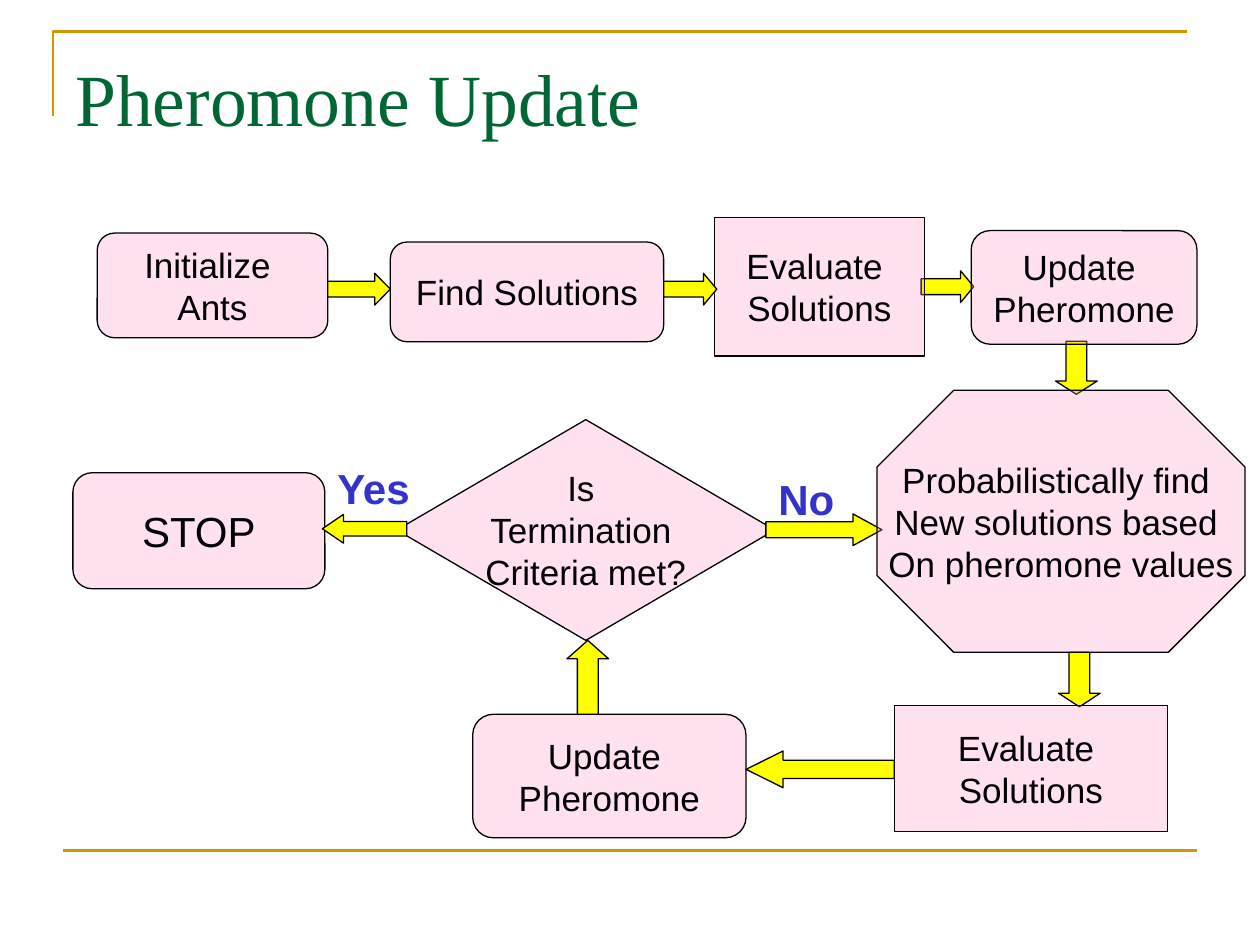
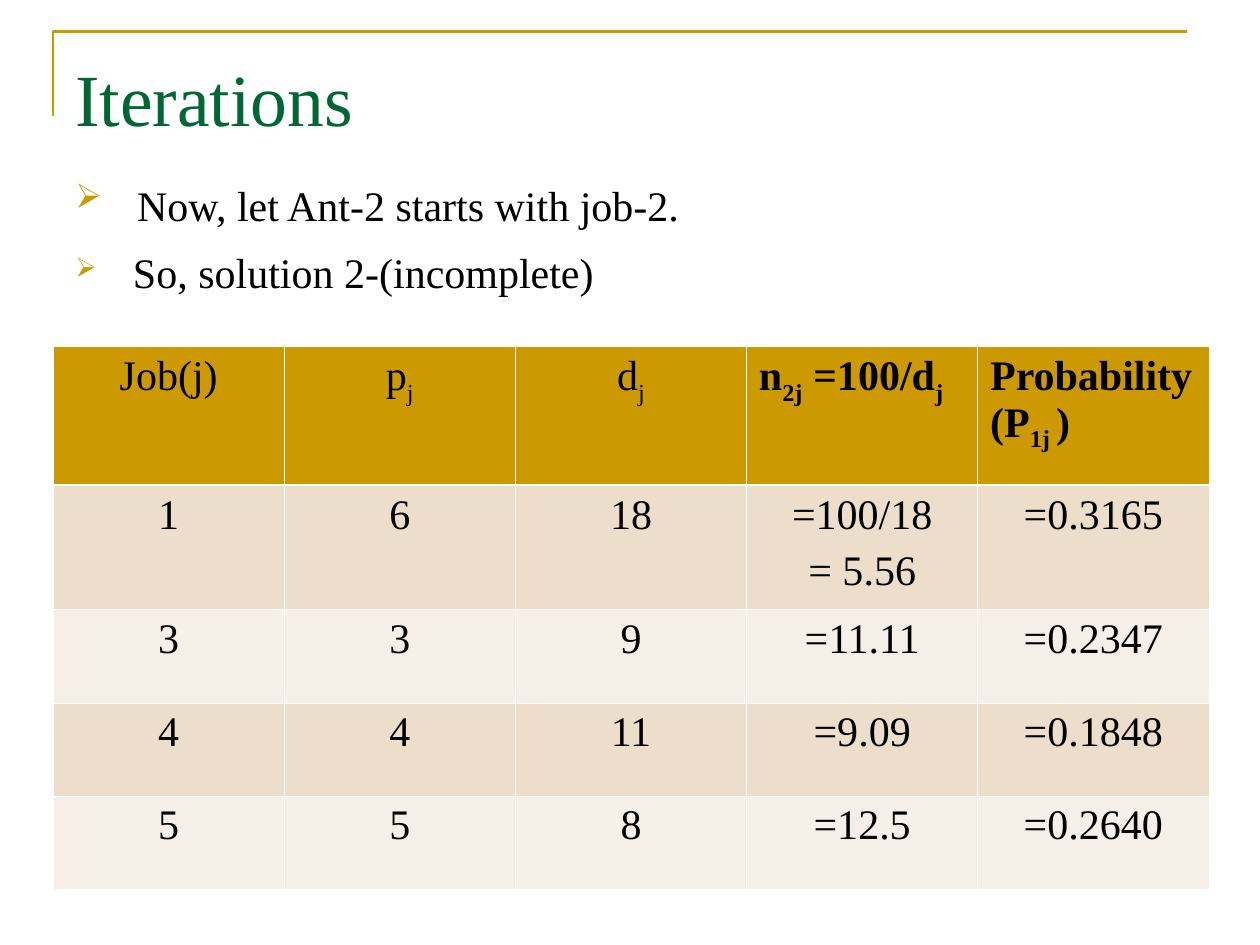
from dataclasses import dataclass

from lxml import etree
from pptx import Presentation
from pptx.dml.color import RGBColor
from pptx.enum.shapes import MSO_CONNECTOR, MSO_SHAPE
from pptx.enum.text import MSO_ANCHOR, PP_ALIGN
from pptx.oxml.ns import qn
from pptx.util import Cm, Pt

DIAMOND, OCTAGON = MSO_SHAPE.DIAMOND, MSO_SHAPE.OCTAGON
ROUNDED, RECTANGLE = MSO_SHAPE.ROUNDED_RECTANGLE, MSO_SHAPE.RECTANGLE
ARROW_SHAPES = {
    "right": MSO_SHAPE.RIGHT_ARROW, "left": MSO_SHAPE.LEFT_ARROW,
    "down": MSO_SHAPE.DOWN_ARROW, "up": MSO_SHAPE.UP_ARROW,
}
CENTER, LEFT = PP_ALIGN.CENTER, PP_ALIGN.LEFT
TOP, MIDDLE = MSO_ANCHOR.TOP, MSO_ANCHOR.MIDDLE


@dataclass(frozen=True)
class Theme:
    serif: str = "Times New Roman"
    sans: str = "Arial"
    title: str = "006633"
    gold: str = "CC9900"
    ink: str = "000000"
    node: str = "FF99CC"
    node_opacity: int = 29000
    arrow: str = "FFFF00"
    answer: str = "3333CC"
    bands: tuple = ("ECDECB", "F6EFE7")
    grid: str = "FFFFFF"
    title_size: float = 42
    body_size: float = 24
    node_size: float = 20
    spacer_size: float = 30


THEME = Theme()

FLOW_TITLE = "Pheromone Update"
# name: (shape, (left, top, width, height) in cm, lines, type size)
NODES = {
    "decide": (DIAMOND, (8, 8.46, 7.62, 4.45),
               ["Is ", "Termination ", "Criteria met?"], THEME.node_size),
    "initialize": (ROUNDED, (1.96, 4.7, 4.65, 2.11), ["Initialize ", "Ants"], THEME.node_size),
    "find": (ROUNDED, (7.87, 4.88, 5.51, 2.01), ["Find Solutions"], THEME.node_size),
    "update": (ROUNDED, (19.58, 4.65, 4.55, 2.29), ["Update ", "Pheromone"], THEME.node_size),
    "search": (OCTAGON, (17.68, 7.87, 7.42, 5.28),
               ["Probabilistically find ", "New solutions based ", "On pheromone values"],
               THEME.node_size),
    "evaluate": (RECTANGLE, (14.4, 4.39, 4.24, 2.79), ["Evaluate ", "Solutions"],
                 THEME.node_size),
    "evaluate again": (RECTANGLE, (18.03, 14.22, 5.51, 2.54), ["Evaluate ", "Solutions"],
                       THEME.node_size),
    "stop": (ROUNDED, (1.47, 9.53, 5.08, 2.34), ["STOP"], THEME.body_size),
    "update again": (ROUNDED, (9.53, 14.4, 5.51, 2.49), ["Update ", "Pheromone"],
                     THEME.node_size),
}
# (source, direction, target, centre line, thickness, overlap at tail, overlap at tip)
ARROWS_BEHIND = [
    ("search", "down", "evaluate again", 21.76, 0.84, 0, 0.03),
    ("update", "down", "search", 21.7, 0.84, 0.06, 0.08),
    ("evaluate", "right", "update", 5.78, 0.64, 0.07, 0.05),
    ("decide", "right", "search", 10.68, 0.64, 0.18, 0.1),
]
ARROWS_IN_FRONT = [
    ("initialize", "right", "find", 5.83, 0.64, 0, 0),
    ("find", "right", "evaluate", 5.83, 0.64, 0, 0.05),
    ("evaluate again", "left", "update again", 15.51, 0.74, 0, 0),
    ("decide", "left", "stop", 10.66, 0.58, 0.2, 0.05),
    ("update again", "up", "decide", 11.85, 0.84, 0, 0),
]
ANSWERS = [("Yes", (6.55, 9.09, 2.54, 1.27)), ("No", (15.44, 9.32, 1.91, 1.27))]

TABLE_TITLE = "Iterations"
BULLETS = [
    [(" ", THEME.sans, THEME.spacer_size),
     ("Now, let Ant-2 starts with job-2.", THEME.serif, THEME.body_size)],
    [(" So, solution 2-(incomplete)", THEME.serif, THEME.body_size)],
]
# Each heading: (alignment, bold, [(text, is subscript)])
HEADINGS = [
    (CENTER, False, [("Job(j)", False)]),
    (CENTER, False, [("p", False), ("j", True)]),
    (CENTER, False, [("d", False), ("j", True)]),
    (LEFT, True, [("n", False), ("2j", True), (" =100/d", False), ("j", True)]),
    (LEFT, True, [("Probability(P", False), ("1j ", True), (")", False)]),
]
JOBS = [
    ["1", "6", "18", "=100/18\n= 5.56", "=0.3165"],
    ["3", "3", "9", "=11.11", "=0.2347"],
    ["4", "4", "11", "=9.09", "=0.1848"],
    ["5", "5", "8", "=12.5", "=0.2640"],
]
ROW_HEIGHTS = [2.79, 2.51, 1.88, 1.88, 1.88]
COLUMN_WIDTH = 4.66


def color(value):
    return RGBColor.from_string(value)


def add_span(para, text, size, font=THEME.serif, ink=THEME.ink, bold=False, subscript=False):
    span = para.add_run()
    span.text = text
    span.font.name, span.font.size, span.font.bold = font, Pt(size), bold
    span.font.color.rgb = color(ink)
    if subscript:
        span._r.get_or_add_rPr().set("baseline", "-25000")


def next_para(frame, index, space_before=0):
    """Return the paragraph at index, adding it when it is not the first."""
    if index == 0:
        return frame.paragraphs[0]
    para = frame.add_paragraph()
    para.space_before = Pt(space_before)
    return para


def set_frame(frame, anchor=TOP, wrap=True, top=0.13):
    frame.word_wrap, frame.vertical_anchor = wrap, anchor
    frame.margin_left = frame.margin_right = Cm(0.25)
    frame.margin_top, frame.margin_bottom = Cm(top), Cm(0.13)


def add_text_box(page, area, top):
    frame = page.shapes.add_textbox(*map(Cm, area)).text_frame
    set_frame(frame, top=top)
    return frame


def add_page(deck, title):
    """Add a title-only slide with the gold corner rule."""
    page = deck.slides.add_slide(deck.slide_layouts[5])
    heading = page.shapes.title
    heading.left, heading.top, heading.width, heading.height = map(Cm, (1.27, 0.76, 22.86, 3.18))
    set_frame(heading.text_frame, top=0.31)
    para = heading.text_frame.paragraphs[0]
    para.alignment = LEFT
    add_span(para, title, THEME.title_size, ink=THEME.title)

    builder = page.shapes.build_freeform(Cm(1.07), Cm(2.34))
    builder.add_line_segments([(Cm(1.07), Cm(0.64)), (Cm(23.93), Cm(0.64))], close=False)
    corner = builder.convert_to_shape()
    corner.shadow.inherit = False
    corner.fill.background()
    corner.line.color.rgb, corner.line.width = color(THEME.gold), Pt(1.5)
    return page


def add_bottom_rule(page):
    rule = page.shapes.add_connector(
        MSO_CONNECTOR.STRAIGHT, Cm(1.27), Cm(17.15), Cm(24.13), Cm(17.15))
    rule.line.color.rgb, rule.line.width = color(THEME.gold), Pt(1.5)
    etree.SubElement(rule._element.spPr, qn("a:effectLst"))


def add_outlined(page, kind, area, fill):
    shape = page.shapes.add_shape(kind, *map(Cm, area))
    shape.shadow.inherit = False
    shape.fill.solid()
    shape.fill.fore_color.rgb = color(fill)
    shape.line.color.rgb, shape.line.width = color(THEME.ink), Pt(0.75)
    return shape


def add_node(page, name):
    kind, area, lines, size = NODES[name]
    node = add_outlined(page, kind, area, THEME.node)
    tint = node._element.spPr.find(qn("a:solidFill"))[0]
    etree.SubElement(tint, qn("a:alpha"), val=str(THEME.node_opacity))
    set_frame(node.text_frame, MIDDLE, wrap=False)
    for index, line in enumerate(lines):
        para = next_para(node.text_frame, index)
        para.alignment = CENTER
        add_span(para, line, size, THEME.sans)


def add_arrow(page, source, direction, target, centre, thickness, tail, tip):
    """Bridge the gap between two nodes; the head takes a quarter of the length."""
    axis = 0 if direction in ("left", "right") else 1
    first, second, before, after = source, target, tail, tip
    if direction in ("left", "up"):
        first, second, before, after = target, source, tip, tail
    near, far = NODES[first][1], NODES[second][1]
    start = near[axis] + near[axis + 2] - before
    length = far[axis] + after - start
    across = centre - thickness / 2
    area = (start, across, length, thickness) if axis == 0 else (
        across, start, thickness, length)
    arrow = add_outlined(page, ARROW_SHAPES[direction], area, THEME.arrow)
    arrow.adjustments[1] = length / 4 / thickness


def build_flow(deck):
    page = add_page(deck, FLOW_TITLE)
    add_bottom_rule(page)
    first, *others = NODES
    add_node(page, first)
    for arrow in ARROWS_BEHIND:
        add_arrow(page, *arrow)
    for name in others:
        add_node(page, name)
    for arrow in ARROWS_IN_FRONT:
        add_arrow(page, *arrow)
    for text, area in ANSWERS:
        frame = add_text_box(page, area, top=0.23)
        add_span(frame.paragraphs[0], text, THEME.body_size, THEME.sans, THEME.answer, bold=True)


def add_bullet(para):
    props = para._p.get_or_add_pPr()
    props.set("marL", str(Cm(0.95)))
    props.set("indent", str(-Cm(0.95)))
    tint = etree.SubElement(props, qn("a:buClr"))
    etree.SubElement(tint, qn("a:srgbClr"), val=THEME.gold)
    etree.SubElement(props, qn("a:buSzPct"), val="65000")
    etree.SubElement(props, qn("a:buChar"), char="➢")


def style_cell(cell, fill, widths):
    """Fill a cell and rule its left, right, top and bottom edges."""
    cell.fill.solid()
    cell.fill.fore_color.rgb = color(fill)
    props = cell._tc.get_or_add_tcPr()
    for index, (side, width) in enumerate(zip("LRTB", widths)):
        edge = etree.Element(qn(f"a:ln{side}"), w=str(Pt(width)))
        paint = etree.SubElement(edge, qn("a:solidFill"))
        etree.SubElement(paint, qn("a:srgbClr"), val=THEME.grid)
        props.insert(index, edge)
    cell.margin_left = cell.margin_right = Cm(0.25)
    cell.margin_top = cell.margin_bottom = Cm(0.13)


def build_table(deck):
    page = add_page(deck, TABLE_TITLE)
    frame = add_text_box(page, (1.27, 3.18, 22.86, 3.5), top=0.23)
    for index, spans in enumerate(BULLETS):
        para = next_para(frame, index, space_before=8)
        add_bullet(para)
        for text, font, size in spans:
            add_span(para, text, size, font)

    columns = len(HEADINGS)
    table = page.shapes.add_table(
        len(ROW_HEIGHTS), columns, Cm(1.07), Cm(6.99),
        Cm(COLUMN_WIDTH * columns), Cm(sum(ROW_HEIGHTS))).table
    for column in table.columns:
        column.width = Cm(COLUMN_WIDTH)
    for row, height in zip(table.rows, ROW_HEIGHTS):
        row.height = Cm(height)

    thin, thick = 0.45, 1.47
    for index, (alignment, bold, spans) in enumerate(HEADINGS):
        cell = table.cell(0, index)
        style_cell(cell, THEME.gold, (thin, thin, thin, thick))
        para = cell.text_frame.paragraphs[0]
        para.alignment = alignment
        for text, subscript in spans:
            add_span(para, text, THEME.body_size, bold=bold, subscript=subscript)
    for row_index, job in enumerate(JOBS):
        top_edge = thick if row_index == 0 else thin
        for column_index, value in enumerate(job):
            cell = table.cell(row_index + 1, column_index)
            style_cell(cell, THEME.bands[row_index % 2], (thin, thin, top_edge, thin))
            for index, line in enumerate(value.split("\n")):
                para = next_para(cell.text_frame, index, space_before=6)
                para.alignment = CENTER
                add_span(para, line, THEME.body_size)


def main():
    deck = Presentation()
    deck.slide_width, deck.slide_height = Cm(25.4), Cm(19.05)
    build_flow(deck)
    build_table(deck)
    deck.save("out.pptx")


if __name__ == "__main__":
    main()
